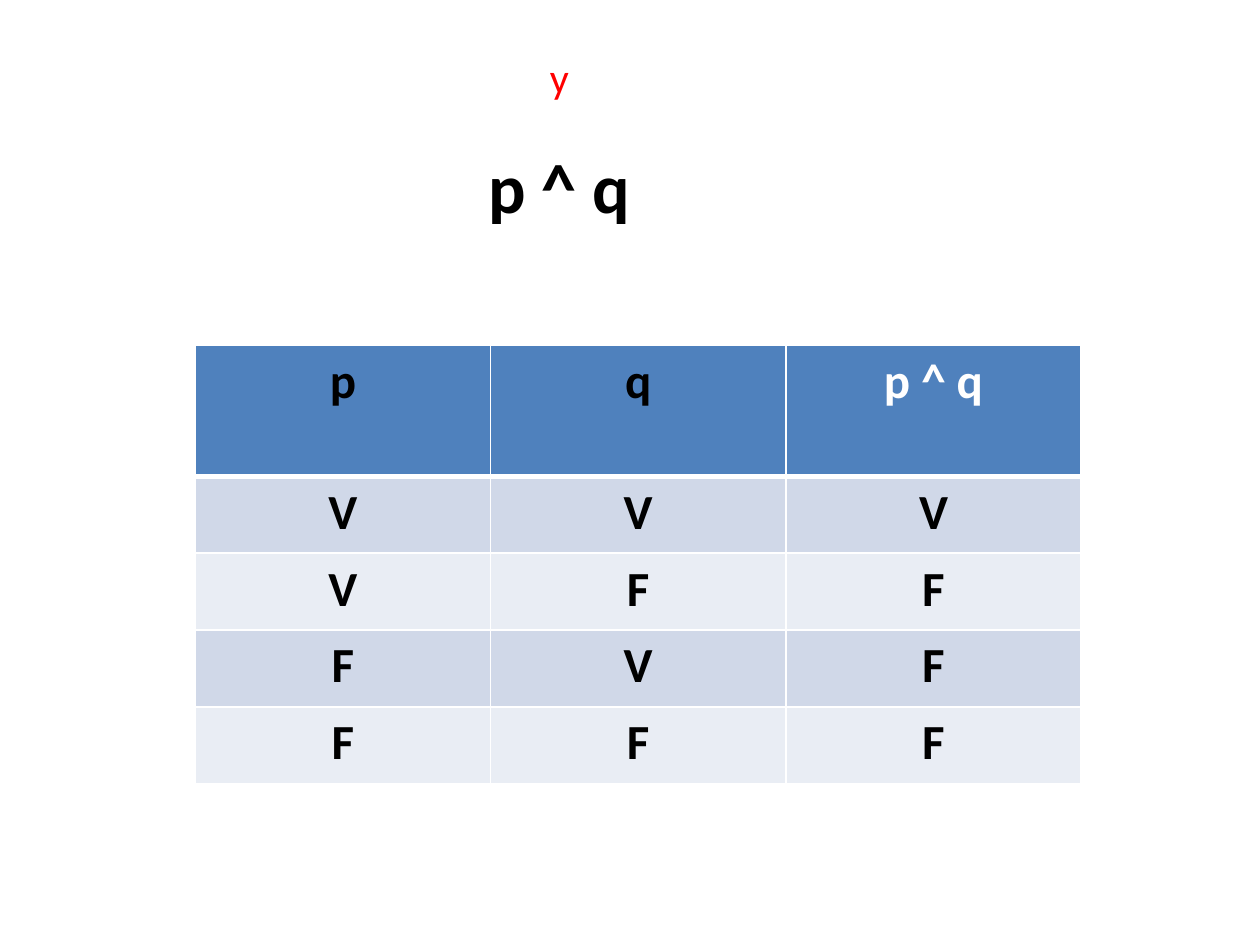
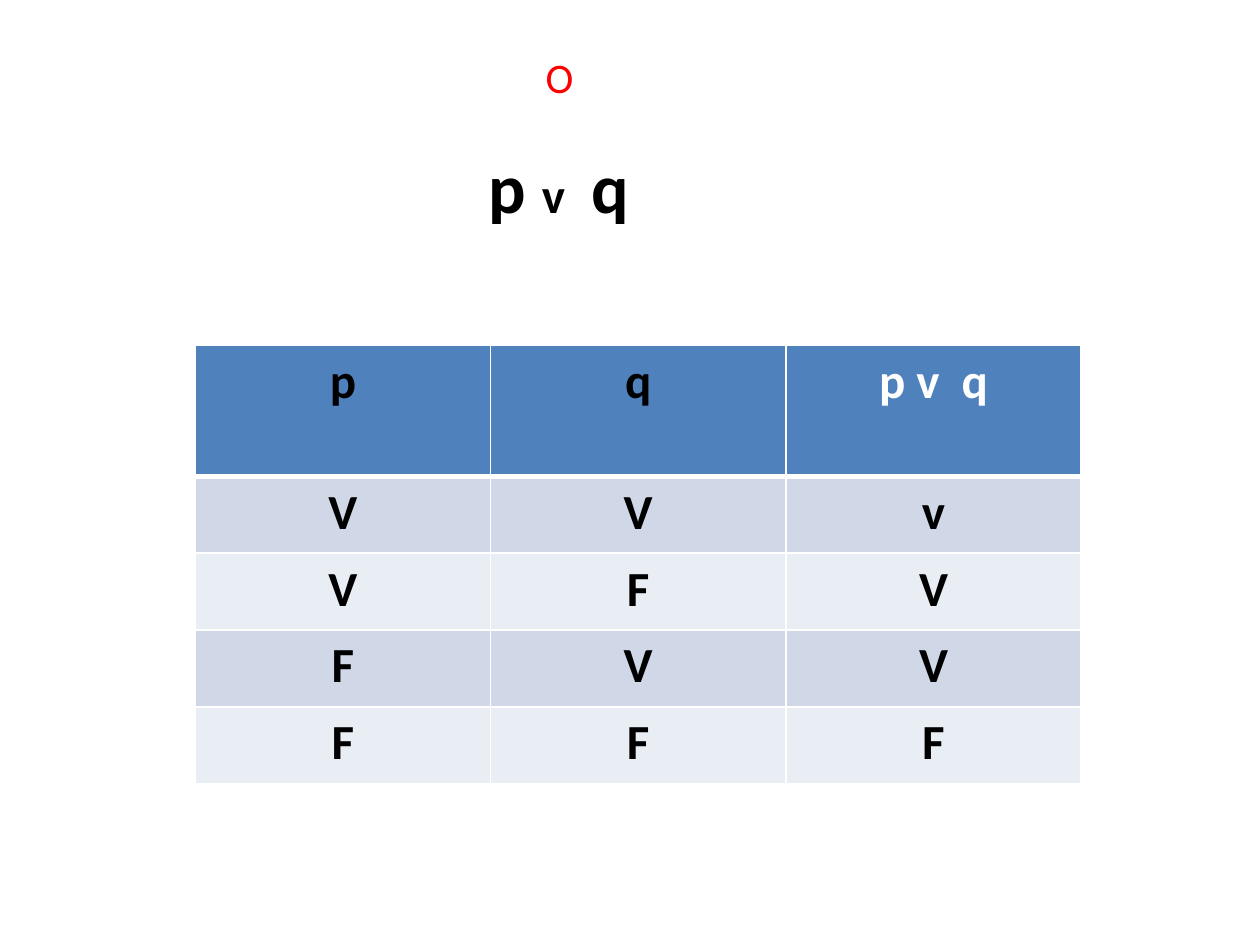
from dataclasses import dataclass

from lxml.etree import SubElement
from pptx import Presentation
from pptx.dml.color import RGBColor
from pptx.enum.text import MSO_AUTO_SIZE, PP_ALIGN
from pptx.oxml.ns import qn
from pptx.util import Inches, Pt


@dataclass(frozen=True)
class Theme:
    font: str = "Calibri"
    ink: str = "000000"
    paper: str = "FFFFFF"
    accent: str = "FF0000"
    header: str = "4F81BD"
    bands: tuple = ("D0D8E8", "E9EDF4")
    formula_size: int = 40
    cell_size: int = 28
    word_size: int = 24
    thin_line: int = 1
    thick_line: int = 3


@dataclass(frozen=True)
class Box:
    left: float
    top: float
    width: float
    height: float

    def lengths(self):
        return [Inches(v) for v in (self.left, self.top, self.width, self.height)]


THEME = Theme()
SLIDE_SIZE = (10, 7.5)
WORD_BOX = Box(1.94, 0.36, 5, 0.5)
FORMULA_BOX = Box(3.78, 1.09, 1.34, 0.77)
TABLE_BOX = Box(1.55, 2.74, 7.03, 3.48)
BODY_ROW_HEIGHT = 0.61


def add_text(paragraph, text, size=THEME.cell_size, color=THEME.ink, bold=True, align=None):
    """Append one formatted run to a paragraph."""
    if align is not None:
        paragraph.alignment = align
    run = paragraph.add_run()
    run.text = text
    font = run.font
    font.name, font.size, font.bold = THEME.font, Pt(size), bold
    font.color.rgb = RGBColor.from_string(color)


def add_text_box(slide, box, wrap):
    """Add a text box that grows with its text; return its paragraph."""
    frame = slide.shapes.add_textbox(*box.lengths()).text_frame
    frame.word_wrap = wrap
    frame.auto_size = MSO_AUTO_SIZE.SHAPE_TO_FIT_TEXT
    return frame.paragraphs[0]


def style_cell(cell, fill, **thick_sides):
    """Draw white borders, then the fill, as the cell schema orders them."""
    properties = cell._tc.get_or_add_tcPr()
    for side in "LRTB":
        width = THEME.thick_line if thick_sides.get(side) else THEME.thin_line
        line = SubElement(properties, qn(f"a:ln{side}"), w=str(Pt(width)))
        solid = SubElement(line, qn("a:solidFill"))
        SubElement(solid, qn("a:srgbClr"), val=THEME.paper)
    cell.fill.solid()
    cell.fill.fore_color.rgb = RGBColor.from_string(fill)


def add_truth_table(slide, box, formula, results):
    """Fill the box with every pair of p and q and the formula's value."""
    pairs = ("VV", "VF", "FV", "FF")
    rows = [("p", "q", formula)]
    rows += [(*pair, result) for pair, result in zip(pairs, results)]
    columns = len(rows[0])
    table = slide.shapes.add_table(len(rows), columns, *box.lengths()).table
    for column in table.columns:
        column.width = Inches(box.width / columns)
    for row in table.rows:
        row.height = Inches(BODY_ROW_HEIGHT)
    # The header takes the height that the body leaves
    table.rows[0].height = Inches(box.height - BODY_ROW_HEIGHT * len(pairs))

    for r, row in enumerate(rows):
        fill = THEME.bands[(r - 1) % 2] if r else THEME.header
        for c, text in enumerate(row):
            cell = table.cell(r, c)
            style_cell(cell, fill, T=r == 1, B=r == 0)
            is_formula = r == 0 and c == columns - 1
            add_text(cell.text_frame.paragraphs[0], text, align=PP_ALIGN.CENTER,
                     color=THEME.paper if is_formula else THEME.ink)


def add_connective_slide(presentation, word, title_runs, formula, results):
    """Build one slide: formula, truth table and the connective's name."""
    slide = presentation.slides.add_slide(presentation.slide_layouts[6])
    # Formula
    paragraph = add_text_box(slide, FORMULA_BOX, wrap=False)
    for text, size in title_runs:
        add_text(paragraph, text, size=size)
    # Truth table
    add_truth_table(slide, TABLE_BOX, formula, results)
    # Connective in words
    paragraph = add_text_box(slide, WORD_BOX, wrap=True)
    add_text(paragraph, word, size=THEME.word_size, color=THEME.accent,
             bold=False, align=PP_ALIGN.CENTER)


def main():
    presentation = Presentation()
    presentation.slide_width, presentation.slide_height = map(Inches, SLIDE_SIZE)
    large, small = THEME.formula_size, THEME.cell_size
    add_connective_slide(presentation, "y", [("p ^ q", large)], "p ^ q", "VFFF")
    add_connective_slide(presentation, "O", [("p ", large), ("v ", small), (" q", large)],
                         "p v  q", "vVVF")
    presentation.save("out.pptx")


if __name__ == "__main__":
    main()
